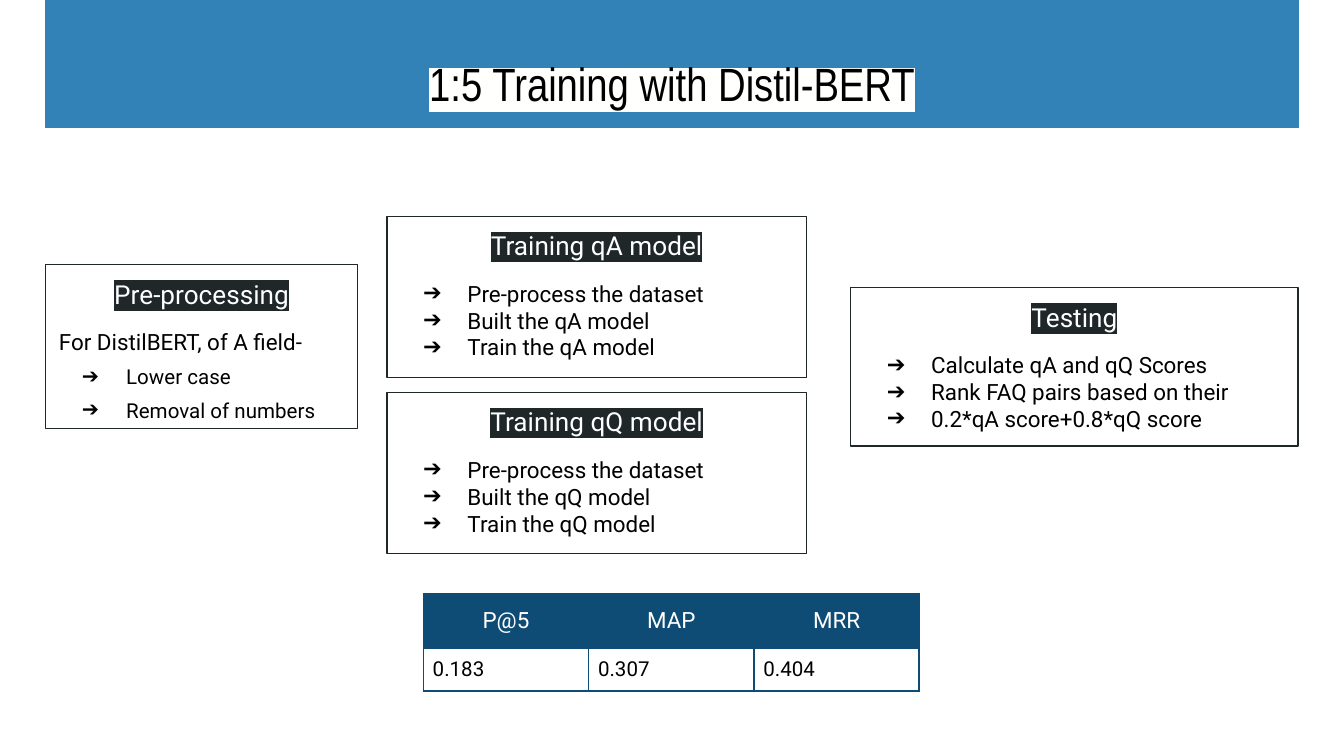
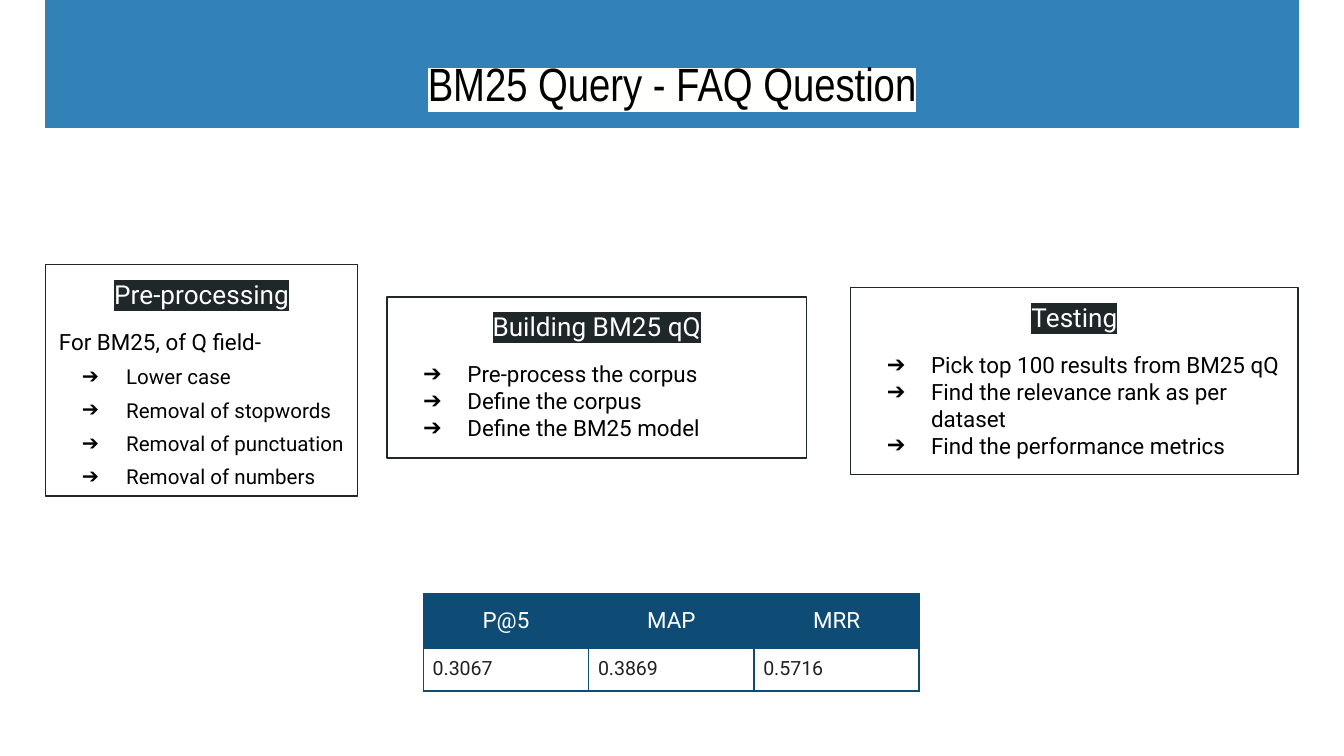
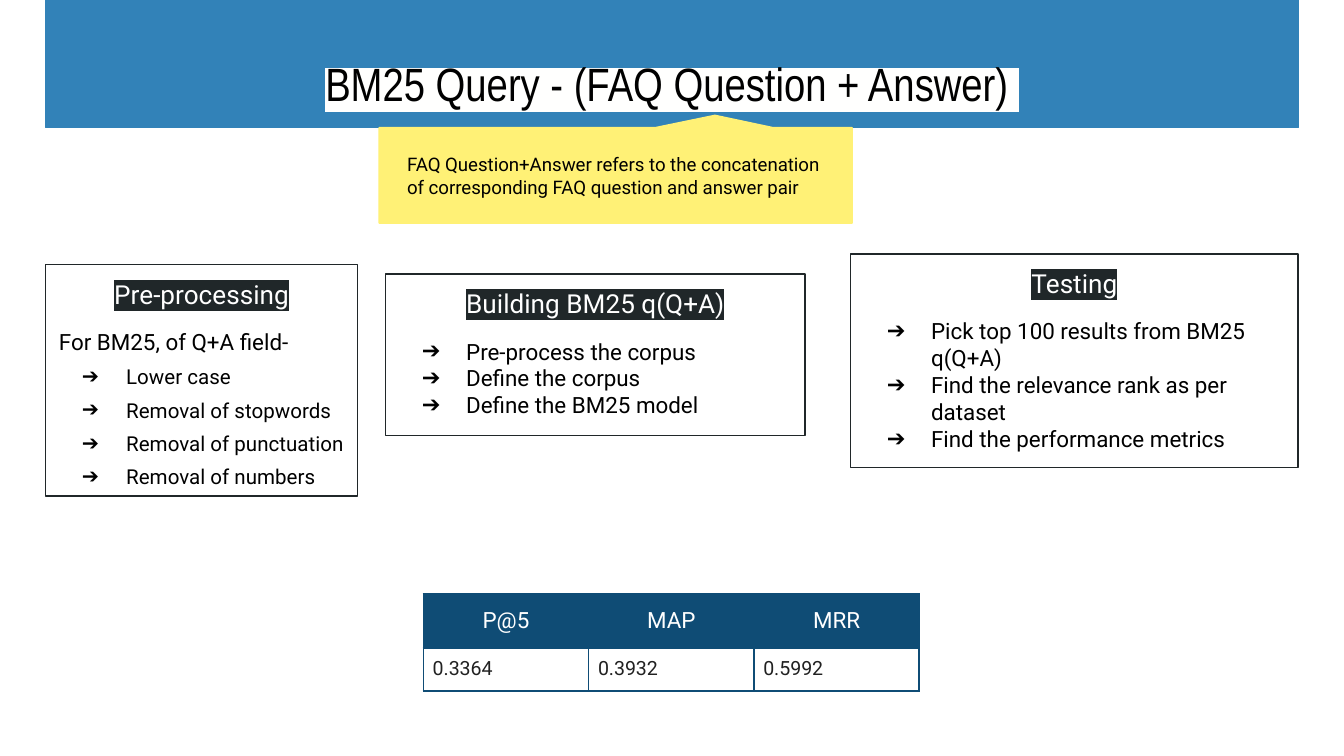
from lxml import etree
from pptx import Presentation
from pptx.dml.color import RGBColor
from pptx.enum.shapes import MSO_SHAPE
from pptx.enum.text import MSO_ANCHOR, MSO_AUTO_SIZE, PP_ALIGN
from pptx.oxml.ns import qn
from pptx.util import Inches, Pt

RECTANGLE = MSO_SHAPE.RECTANGLE
CALLOUT = MSO_SHAPE.ROUNDED_RECTANGULAR_CALLOUT
TOP = MSO_ANCHOR.TOP
GROW, FIXED = MSO_AUTO_SIZE.SHAPE_TO_FIT_TEXT, MSO_AUTO_SIZE.NONE
LEFT, CENTER = PP_ALIGN.LEFT, PP_ALIGN.CENTER

COLORS = {
    "band": "3282B8",
    "title_mark": "FFFFFE",
    "dark": "202729",
    "table": "0F4C75",
    "note": "FFF176",
    "black": "000000",
    "white": "FFFFFF",
    "gray": "212121",
}
TITLE_FONT, BODY_FONT = "Arial Narrow", "Roboto"
SLIDE_WIDTH = 10
EDGE, CONTENT_WIDTH = 0.34, 9.32
LIST_SPACING = 1.36
METRICS = ["P@5", "MAP", "MRR"]
BM25_CLEANING = ["Lower case", "Removal of stopwords",
                 "Removal of punctuation", "Removal of numbers"]
BM25_BUILDING = ["Pre-process the corpus", "Define the corpus", "Define the BM25 model"]
BM25_RANKING = ["Find the relevance rank as per dataset", "Find the performance metrics"]


def rgb(name):
    return RGBColor.from_string(COLORS[name])


class Deck:
    """Holds the shared style and the slide being filled."""

    def __init__(self):
        self.presentation = Presentation()
        self.presentation.slide_width = Inches(SLIDE_WIDTH)
        self.presentation.slide_height = Inches(SLIDE_WIDTH * 9 / 16)
        self.slide = None

    def run(self, paragraph, text, size, color="black", font=BODY_FONT, highlight=None):
        run = paragraph.add_run()
        run.text = text
        run.font.size = Pt(size)
        run.font.name = font
        run.font.bold = False
        run.font.color.rgb = rgb(color)
        if highlight:
            mark = etree.Element(qn("a:highlight"))
            etree.SubElement(mark, qn("a:srgbClr"), val=COLORS[highlight])
            run.font._element.find(qn("a:solidFill")).addnext(mark)

    def frame(self, shape, auto_size=FIXED):
        frame = shape.text_frame
        frame.word_wrap = True
        frame.auto_size = auto_size
        frame.vertical_anchor = TOP
        frame.margin_left = frame.margin_right = Inches(0.1)
        frame.margin_top = frame.margin_bottom = Inches(0.1)
        return frame

    def shape(self, kind, left, top, width, height, fill=None, line="dark"):
        shape = self.slide.shapes.add_shape(
            kind, Inches(left), Inches(top), Inches(width), Inches(height))
        shape.shadow.inherit = False
        if fill:
            shape.fill.solid()
            shape.fill.fore_color.rgb = rgb(fill)
        else:
            shape.fill.background()
        shape.line.color.rgb = rgb(line)
        shape.line.width = Pt(0.75)
        return shape

    def start_slide(self, text):
        """Add a slide with its band and title."""
        layout = self.presentation.slide_layouts[5]
        self.slide = self.presentation.slides.add_slide(layout)
        self.shape(RECTANGLE, EDGE, 0, CONTENT_WIDTH, 0.95, "band", "band")
        title = self.slide.shapes.title
        title.left, title.top = Inches(EDGE), Inches(0.16)
        title.width, title.height = Inches(CONTENT_WIDTH), Inches(0.63)
        title.element.getparent().append(title.element)
        paragraph = self.frame(title).paragraphs[0]
        paragraph.alignment = CENTER
        paragraph.line_spacing = LIST_SPACING
        self.run(paragraph, text, 25, font=TITLE_FONT, highlight="title_mark")

    def bullet(self, paragraph):
        properties = paragraph._p.get_or_add_pPr()
        properties.set("marL", str(Inches(0.5)))
        properties.set("indent", str(Inches(-0.33)))
        color = etree.SubElement(properties, qn("a:buClr"))
        etree.SubElement(color, qn("a:srgbClr"), val=COLORS["black"])
        etree.SubElement(properties, qn("a:buFont"), typeface=BODY_FONT)
        etree.SubElement(properties, qn("a:buChar"), char="➔")

    def box(self, left, top, width, height, heading, items, intro=None):
        """Add an outlined step; items under an intro are smaller and looser."""
        shape = self.shape(RECTANGLE, left, top, width, height)
        frame = self.frame(shape, GROW)
        paragraph = frame.paragraphs[0]
        paragraph.alignment = CENTER
        self.run(paragraph, heading, 14, "white", highlight="dark")
        if intro:
            paragraph = frame.add_paragraph()
            paragraph.alignment = LEFT
            paragraph.space_before = Pt(10)
            self.run(paragraph, intro, 12)
        for index, item in enumerate(items):
            paragraph = frame.add_paragraph()
            paragraph.alignment = LEFT
            if intro:
                paragraph.line_spacing = LIST_SPACING
            elif index == 0:
                paragraph.space_before = Pt(10)
            self.bullet(paragraph)
            self.run(paragraph, item, 11 if intro else 12)

    def preprocessing(self, height, intro, items):
        self.box(EDGE, 1.97, 2.32, height, "Pre-processing", items, intro)

    def model(self, top, heading, items, left=2.88):
        self.box(left, top, 3.12, 1.2, heading, items)

    def testing(self, top, height, items):
        self.box(6.33, top, 3.33, height, "Testing", items)

    def note(self, text):
        callout = self.shape(CALLOUT, 2.82, 0.95, 3.52, 0.71, "note", "note")
        callout.rotation = 180
        for index, value in enumerate((-0.21, 0.63, 0)):
            callout.adjustments[index] = value
        title = self.slide.shapes.title
        title.element.addprevious(callout.element)
        text_box = self.slide.shapes.add_textbox(
            Inches(2.93), Inches(1.04), Inches(3.42), Inches(0.54))
        self.run(self.frame(text_box, GROW).paragraphs[0], text, 10)

    def cell(self, cell, text, size, color, margin, alignment, fill=None):
        cell.margin_left = cell.margin_right = Inches(margin)
        cell.margin_top = cell.margin_bottom = Inches(margin)
        if fill:
            cell.fill.solid()
            cell.fill.fore_color.rgb = rgb(fill)
        else:
            cell.fill.background()
        properties = cell._tc.get_or_add_tcPr()
        for index, side in enumerate(("lnL", "lnR", "lnT", "lnB")):
            border = etree.Element(qn(f"a:{side}"), w=str(Pt(1)))
            solid = etree.SubElement(border, qn("a:solidFill"))
            etree.SubElement(solid, qn("a:srgbClr"), val=COLORS["table"])
            properties.insert(index, border)
        paragraph = cell.text_frame.paragraphs[0]
        paragraph.alignment = alignment
        self.run(paragraph, text, size, color)

    def scores(self, values, size=10.5, color="gray"):
        table = self.slide.shapes.add_table(
            2, len(METRICS), Inches(3.15), Inches(4.42), Inches(3.69), Inches(0.72)).table
        table.first_row = table.horz_banding = False
        table.rows[0].height, table.rows[1].height = Inches(0.4), Inches(0.32)
        for index, (metric, value) in enumerate(zip(METRICS, values)):
            table.columns[index].width = Inches(1.23)
            self.cell(table.cell(0, index), metric, 12, "white", 0.1, CENTER, "table")
            self.cell(table.cell(1, index), value, size, color, 0.07, LEFT)


def main():
    deck = Deck()

    deck.start_slide("1:5 Training with Distil-BERT")
    deck.preprocessing(1.22, "For DistilBERT, of A field-",
                       ["Lower case", "Removal of numbers"])
    for top, name in ((1.61, "qA"), (2.92, "qQ")):
        deck.model(top, f"Training {name} model",
                   ["Pre-process the dataset", f"Built the {name} model",
                    f"Train the {name} model"])
    deck.testing(2.14, 1.18, ["Calculate qA and qQ Scores",
                              "Rank FAQ pairs based on their",
                              "0.2*qA score+0.8*qQ score"])
    deck.scores(["0.183", "0.307", "0.404"], 11, "black")

    deck.start_slide("BM25 Query - FAQ Question")
    deck.preprocessing(1.72, "For BM25, of Q field-", BM25_CLEANING)
    deck.model(2.21, "Building BM25 qQ", BM25_BUILDING)
    deck.testing(2.14, 1.39, ["Pick top 100 results from BM25 qQ"] + BM25_RANKING)
    deck.scores(["0.3067", "0.3869", "0.5716"])

    deck.start_slide("BM25 Query - (FAQ Question + Answer) ")
    deck.note("FAQ Question+Answer refers to the concatenation "
              "of corresponding FAQ question and answer pair")
    deck.preprocessing(1.72, "For BM25, of Q+A field-", BM25_CLEANING)
    deck.model(2.04, "Building BM25 q(Q+A)", BM25_BUILDING, left=2.87)
    deck.testing(1.89, 1.59, ["Pick top 100 results from BM25 q(Q+A)"] + BM25_RANKING)
    deck.scores(["0.3364", "0.3932", "0.5992"])

    deck.presentation.save("out.pptx")


if __name__ == "__main__":
    main()
